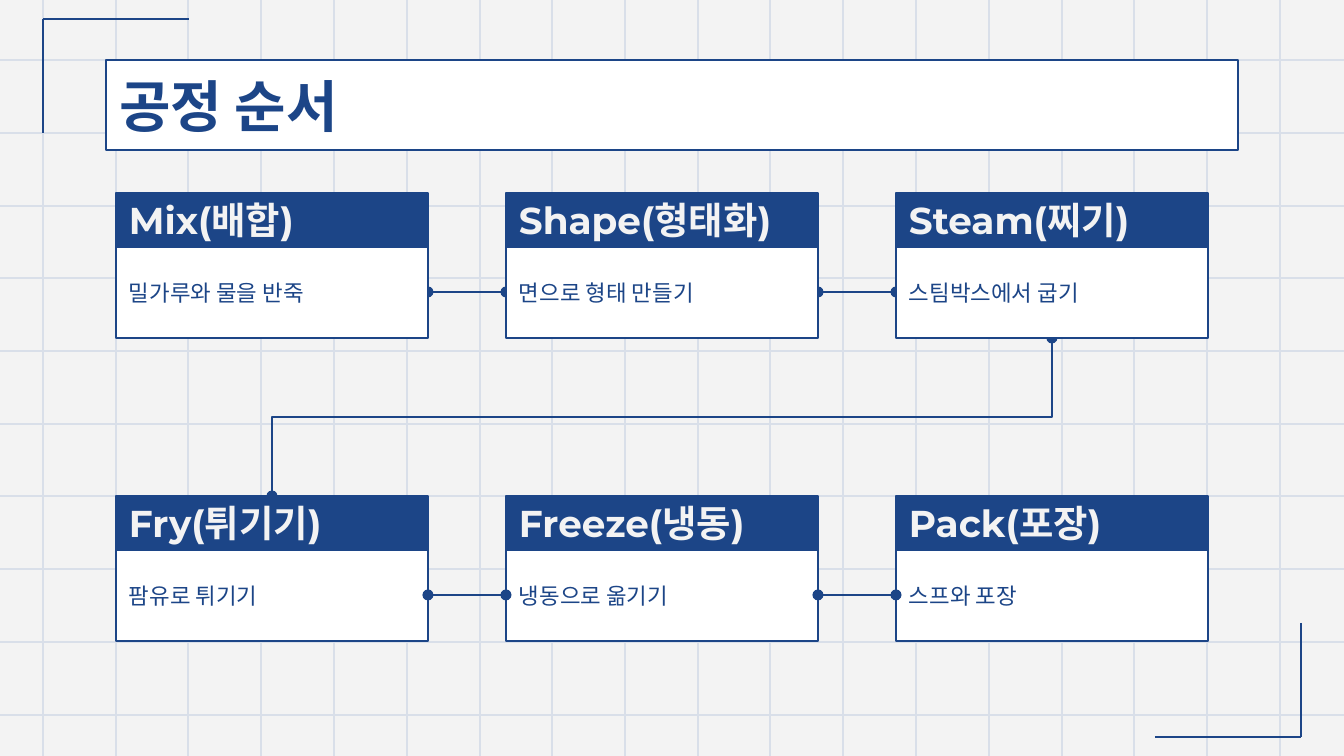
from pptx import Presentation
from pptx.dml.color import RGBColor
from pptx.enum.shapes import MSO_CONNECTOR, MSO_SHAPE
from pptx.enum.text import MSO_ANCHOR, PP_ALIGN
from pptx.oxml.ns import qn
from pptx.util import Pt
from lxml.etree import SubElement

PX = 914400 / 134.4
WIDTH, HEIGHT = 1344, 756
NAVY, WHITE, PAPER, GRID = "1C4587", "FFFFFF", "F3F3F3", "D9DFE9"

TITLE = {"size": Pt(30), "name": "Montserrat", "bold": True}
HEADING = {"size": Pt(20), "name": "Montserrat", "bold": True}
DETAIL = {"size": Pt(12), "name": "Manrope", "bold": False}

deck = Presentation()
deck.slide_width, deck.slide_height = round(WIDTH * PX), round(HEIGHT * PX)
page = deck.slides.add_slide(deck.slide_layouts[5])
page.background.fill.solid()
page.background.fill.fore_color.rgb = RGBColor.from_string(PAPER)


def add_line(start, end, color, dots=False, kind=MSO_CONNECTOR.STRAIGHT):
    ends = [round(value * PX) for value in (*start, *end)]
    line = page.shapes.add_connector(kind, *ends)
    line.line.color.rgb = RGBColor.from_string(color)
    line.line.width = Pt(0.75)
    if dots:
        for tag in ("a:headEnd", "a:tailEnd"):
            SubElement(line.line._get_or_add_ln(), qn(tag), type="oval")
    SubElement(line._element.spPr, qn("a:effectLst"))
    return line


def fill_box(box, place, text, fill, color, font):
    """Place and format a box with one left-aligned line of text."""
    for side, value in zip(("left", "top", "width", "height"), place):
        setattr(box, side, round(value * PX))
    box.shadow.inherit = False
    box.fill.solid()
    box.fill.fore_color.rgb = RGBColor.from_string(fill)
    box.line.color.rgb = RGBColor.from_string(NAVY)
    box.line.width = Pt(0.75)
    frame = box.text_frame
    frame.text = text
    frame.word_wrap = True
    frame.vertical_anchor = MSO_ANCHOR.MIDDLE
    for side in ("left", "top", "right", "bottom"):
        setattr(frame, f"margin_{side}", round(13 * PX))
    para = frame.paragraphs[0]
    para.alignment = PP_ALIGN.LEFT
    span = para.runs[0]
    span.font.color.rgb = RGBColor.from_string(color)
    for name, value in font.items():
        setattr(span.font, name, value)


# Background grid
for row in range(10):
    y = round(60 + 72.75 * row)
    add_line((0, y), (WIDTH, y), GRID)
for column in range(18):
    x = round(43 + 72.75 * column)
    add_line((x, HEIGHT), (x, 0), GRID)

# Corner brackets
for start, end in (
    ((43, 133), (43, 19)),
    ((189, 19), (43, 19)),
    ((1301, 623), (1301, 737)),
    ((1155, 737), (1301, 737)),
):
    add_line(start, end, NAVY)

# Title, raised above the grid
title = page.shapes.title
page.shapes._spTree.append(title._element)
fill_box(title, (106, 60, 1132, 90), "공정 순서", WHITE, NAVY, TITLE)

# Process steps
LEFT, COLUMN_STEP, BOX_WIDTH = 116, 390, 312
HEADING_HEIGHT, DETAIL_HEIGHT = 54, 91
TOP_ROW, BOTTOM_ROW = 193, 496
ROWS = {
    TOP_ROW: [
        ("Mix(배합)", "밀가루와 물을 반죽"),
        ("Shape(형태화)", "면으로 형태 만들기"),
        ("Steam(찌기)", "스팀박스에서 굽기"),
    ],
    BOTTOM_ROW: [
        ("Fry(튀기기)", "팜유로 튀기기"),
        ("Freeze(냉동)", "냉동으로 옮기기"),
        ("Pack(포장)", "스프와 포장"),
    ],
}

# Elbow from the first bottom step up to the last top step: it is laid out
# sideways around its centre, then turned by 270 degrees
steam_bottom = TOP_ROW + HEADING_HEIGHT + DETAIL_HEIGHT
rise, run = BOTTOM_ROW - steam_bottom, 2 * COLUMN_STEP
center_x = LEFT + BOX_WIDTH / 2 + COLUMN_STEP
center_y = (steam_bottom + BOTTOM_ROW) / 2
elbow = add_line(
    (center_x - rise / 2, center_y - run / 2),
    (center_x + rise / 2, center_y + run / 2),
    NAVY, dots=True, kind=MSO_CONNECTOR.ELBOW,
)
elbow._element.spPr.find(qn("a:xfrm")).set("rot", str(270 * 60000))

for top, steps in ROWS.items():
    detail_top = top + HEADING_HEIGHT
    boxes = []
    for column, (heading, detail) in enumerate(steps):
        x = LEFT + column * COLUMN_STEP
        boxes += [
            ((x, detail_top, BOX_WIDTH, DETAIL_HEIGHT), detail, WHITE, NAVY, DETAIL),
            ((x, top, BOX_WIDTH, HEADING_HEIGHT), heading, NAVY, PAPER, HEADING),
        ]
    links = [LEFT + BOX_WIDTH + column * COLUMN_STEP for column in range(2)]
    middle = detail_top + DETAIL_HEIGHT // 2
    # The top row's boxes cover half of each dot; the bottom row's do not
    if top == TOP_ROW:
        for x in links:
            add_line((x, middle), (x + COLUMN_STEP - BOX_WIDTH, middle), NAVY, dots=True)
    for place, *content in boxes:
        box = page.shapes.add_shape(MSO_SHAPE.RECTANGLE, 0, 0, 0, 0)
        fill_box(box, place, *content)
    if top == BOTTOM_ROW:
        for x in links:
            add_line((x, middle), (x + COLUMN_STEP - BOX_WIDTH, middle), NAVY, dots=True)

deck.save("out.pptx")
